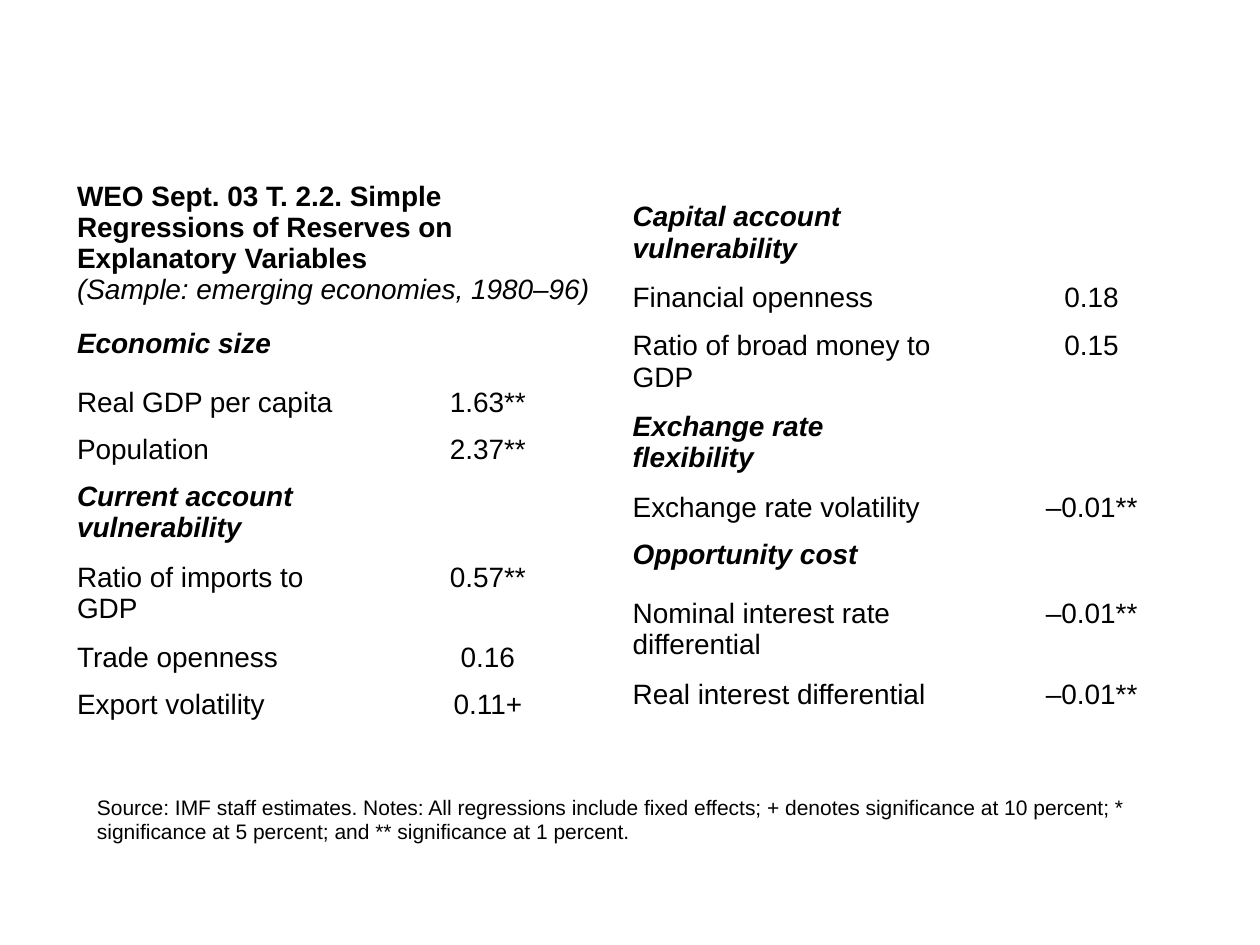
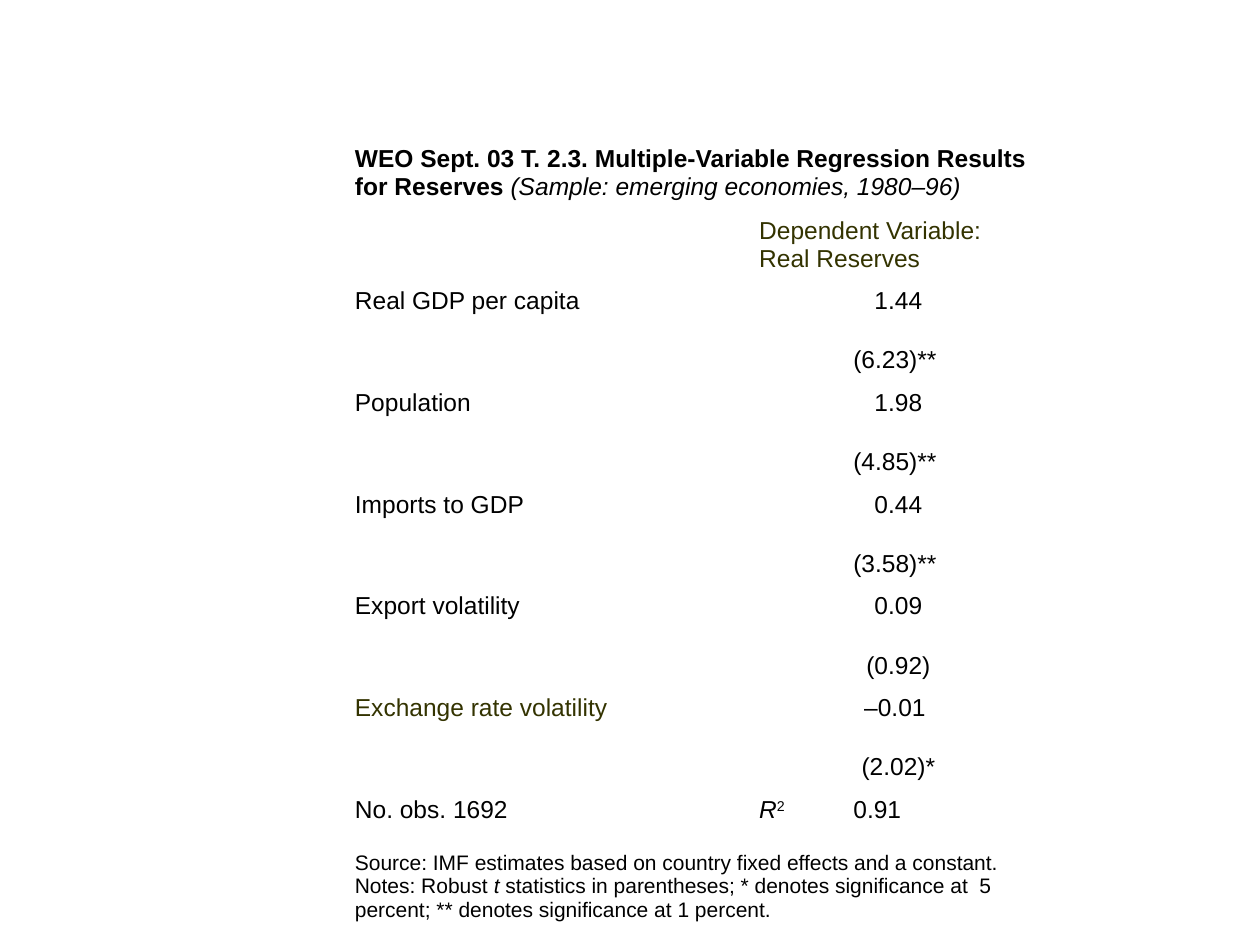
import pptx
import pptx.dml.color
import pptx.enum.text
import pptx.oxml
import pptx.oxml.ns
import pptx.util

Cm = pptx.util.Cm
FONT = "Arial"
BLACK, OLIVE = "000000", "333300"
LINE, SECTION, DOUBLE = 0.94, 1.19, 1.63
ESTIMATE, STATISTIC, HEADING = 0.86, 1.19, 1.45
SAMPLE = ("(Sample: emerging economies, 1980–96)", "i")


def styled(text, style):
    return [[(text, style)]]


SIMPLE_LEFT = [
    (2.97, [[("WEO Sept. 03 T. 2.2. Simple Regressions of Reserves on Explanatory Variables", "b")],
            [SAMPLE]]),
    (SECTION, styled("Economic size", "bi"), ""),
    (LINE, "Real GDP per capita", "1.63**"),
    (LINE, "Population", "2.37**"),
    (DOUBLE, styled("Current account vulnerability", "bi"), ""),
    (DOUBLE, "Ratio of imports to GDP", "0.57**"),
    (LINE, "Trade openness", "0.16"),
    (LINE, "Export volatility", "0.11+"),
]
SIMPLE_RIGHT = [
    (DOUBLE, styled("Capital account vulnerability", "bi"), ""),
    (0.97, "Financial openness", "0.18"),
    (DOUBLE, "Ratio of broad money to GDP", "0.15"),
    (DOUBLE, styled("Exchange rate flexibility", "bi"), ""),
    (LINE, "Exchange rate volatility", "–0.01**"),
    (SECTION, styled("Opportunity cost", "bi"), ""),
    (DOUBLE, "Nominal interest rate differential", "–0.01**"),
    (LINE, "Real interest differential", "–0.01**"),
]
SIMPLE_NOTE = [
    (1.27, "Source: IMF staff estimates. Notes: All regressions include fixed effects; + denotes "
           "significance at 10 percent; * significance at 5 percent; and ** significance at 1 percent."),
]
REGRESSORS = [
    ("Real GDP per capita", "1.44", "(6.23)** "),
    ("Population", "1.98", "(4.85)** "),
    ("Imports to GDP", "0.44", "(3.58)** "),
    ("Export volatility", "0.09", "(0.92)"),
    (styled("Exchange rate volatility", "o"), "–0.01 ", "(2.02)*"),
]
MULTIPLE = [
    (HEADING, [[("WEO Sept. 03 T. 2.3. Multiple-Variable Regression Results for Reserves ", "b"),
                SAMPLE]]),
    (HEADING, "", styled("Dependent Variable: Real Reserves", "o")),
]
for label, estimate, statistic in REGRESSORS:
    MULTIPLE += [(ESTIMATE, label, estimate), (STATISTIC, "", statistic)]
MULTIPLE += [
    (ESTIMATE, "No. obs. 1692", [[("R", "i"), ("2", "^"), ("\t0.91", "")]]),
    (1.98, [[("Source: IMF estimates based on country fixed effects and a constant. Notes: Robust ", "s"),
             ("t ", "is"),
             ("statistics in parentheses; * denotes significance at  5 percent; "
              "** denotes significance at 1 percent.", "s")]]),
]


def color(value):
    return pptx.dml.color.RGBColor.from_string(value)


def set_font(font, size, style):
    font.name = FONT
    font.size = pptx.util.Pt(12 if "s" in style else size)
    font.bold = "b" in style
    font.italic = "i" in style
    font.color.rgb = color(OLIVE if "o" in style else BLACK)


def add_tab_stop(p, position):
    tabs = pptx.oxml.parse_xml(
        f'<a:tabLst {pptx.oxml.ns.nsdecls("a")}><a:tab pos="{Cm(position)}" algn="l"/></a:tabLst>')
    p._p.get_or_add_pPr().insert(0, tabs)


def write_cell(cell, content, size, centred):
    tf = cell.text_frame
    paragraphs = styled(content, "") if isinstance(content, str) else content
    for i, runs in enumerate(paragraphs):
        p = tf.add_paragraph() if i else tf.paragraphs[0]
        if centred:
            p.alignment = pptx.enum.text.PP_ALIGN.CENTER
        if len(runs) == 1:
            set_font(p.font, size, runs[0][1])
        for text, style in runs:
            r = p.add_run()
            r.text = text
            if len(runs) > 1:
                set_font(r.font, size, style)
            if "^" in style:
                r.font._element.set("baseline", "30000")
            if "\t" in text:
                add_tab_stop(p, 1.9)


def add_table(slide, left, top, widths, rows, size, bottom=False):
    height = sum(row[0] for row in rows)
    table = slide.shapes.add_table(len(rows), len(widths), Cm(left), Cm(top),
                                   Cm(sum(widths)), Cm(height)).table
    table.first_row = table.horz_banding = False
    for column, width in zip(table.columns, widths):
        column.width = Cm(width)
    for y, (row_height, *contents) in enumerate(rows):
        table.rows[y].height = Cm(row_height)
        for x in range(len(widths)):
            cell = table.cell(y, x)
            cell.fill.background()
            if bottom:
                cell.vertical_anchor = pptx.enum.text.MSO_ANCHOR.BOTTOM
        if len(contents) < len(widths):
            table.cell(y, 0).merge(table.cell(y, len(widths) - 1))
        for x, content in enumerate(contents):
            if content:
                centred = x == 1 and isinstance(content, str)
                write_cell(table.cell(y, x), content, size, centred)


def main():
    prs = pptx.Presentation()
    prs.slide_width, prs.slide_height = Cm(25.4), Cm(19.05)
    simple, multiple = (prs.slides.add_slide(prs.slide_layouts[6]) for _ in range(2))
    add_table(simple, 1.3, 3.53, [6.07, 4.93], SIMPLE_LEFT, 16)
    add_table(simple, 12.5, 3.94, [6.76, 5.49], SIMPLE_RIGHT, 16)
    add_table(simple, 1.7, 15.93, [21.59], SIMPLE_NOTE, 12)
    add_table(multiple, 6.9, 2.72, [8.15, 6.12], MULTIPLE, 14, bottom=True)
    prs.save("out.pptx")


if __name__ == "__main__":
    main()
